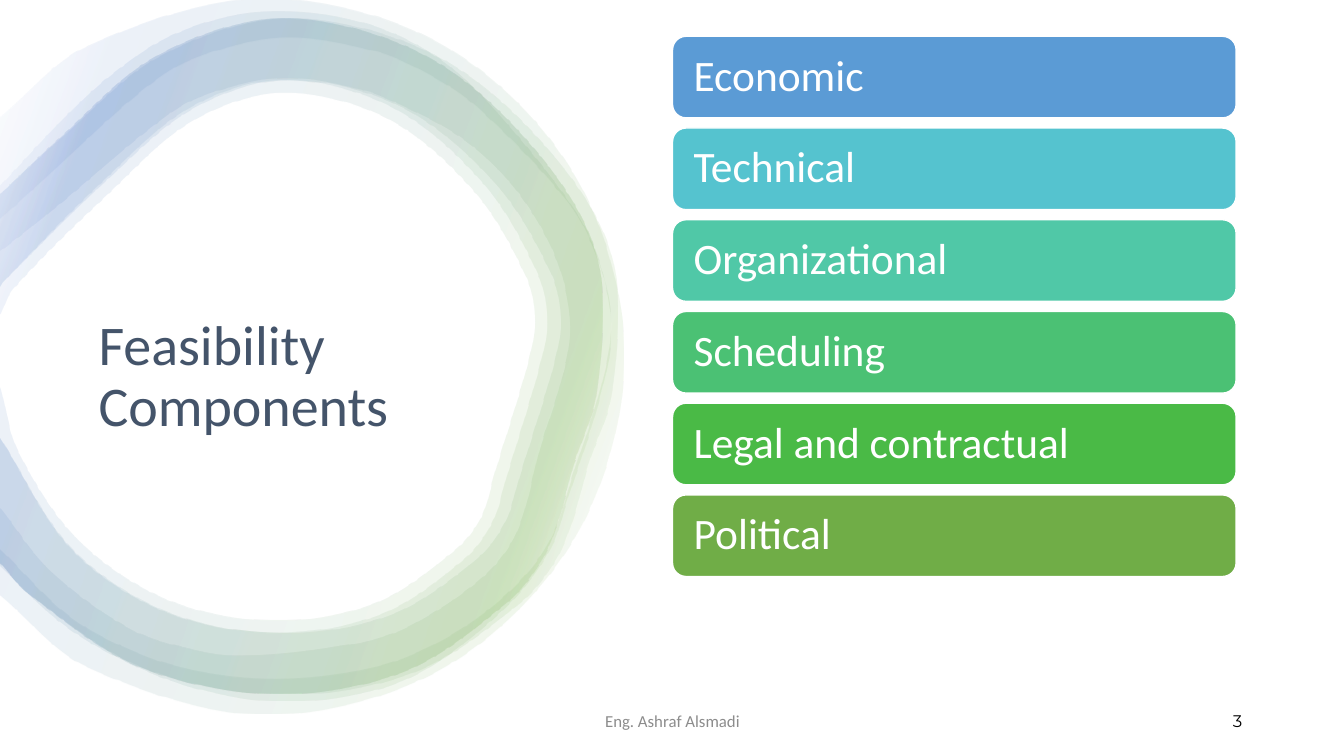
from dataclasses import dataclass
from math import dist

from lxml import etree
from pptx import Presentation
from pptx.dml.color import RGBColor
from pptx.enum import shapes, text
from pptx.oxml import ns
from pptx.util import Pt

PX = 9144

WHITE = RGBColor(0xFF, 0xFF, 0xFF)
BLACK = RGBColor(0x00, 0x00, 0x00)
SLATE = RGBColor(0x44, 0x54, 0x6A)
GRAY = RGBColor(0x8C, 0x8C, 0x8C)
GREEN = RGBColor(0x70, 0xAD, 0x47)
NAVY = RGBColor(0x44, 0x72, 0xC4)
BLUE = RGBColor(0x5B, 0x9B, 0xD5)
CYAN = RGBColor(0x55, 0xC3, 0xCF)
TEAL = RGBColor(0x50, 0xC8, 0xA7)
MINT = RGBColor(0x4B, 0xC1, 0x74)
LEAF = RGBColor(0x4A, 0xBA, 0x46)

RING_STOPS = ((2, WHITE), (16, GREEN), (85, NAVY), (100, WHITE))
RING_ANGLE = 200
RING_OPACITY = 10

Points = tuple[tuple[float, float], ...]


@dataclass(frozen=True)
class Ring:
    outer: Points
    inner: Points
    stretch: float = 1


@dataclass(frozen=True)
class Label:
    words: str
    left: int
    top: int
    width: int
    height: int
    size: int
    color: RGBColor
    font: str = "Calibri"
    align: text.PP_ALIGN = text.PP_ALIGN.LEFT
    spacing: float = 1


@dataclass(frozen=True)
class Card:
    words: str
    color: RGBColor


WAVY_OUTER = (
    (0, 184), (61, 119), (109, 75), (166, 37), (234, 15), (305, 13), (373, 27), (434, 58),
    (484, 103), (565, 203), (594, 262), (605, 329), (593, 396), (561, 496), (545, 543),
    (505, 597), (428, 659), (366, 685), (275, 695), (186, 680), (111, 649), (56, 614), (0, 561),
)
WAVY_INNER = (
    (0, 503), (49, 565), (125, 621), (181, 641), (239, 649), (353, 637), (407, 619),
    (478, 571), (511, 527), (535, 441), (554, 381), (564, 329), (556, 274), (533, 222),
    (499, 175), (455, 136), (404, 108), (353, 88), (275, 78), (196, 97), (150, 126),
    (57, 204), (0, 249),
)
BAND_OUTER = (
    (0, 192), (56, 139), (155, 55), (279, 18), (418, 53), (525, 142), (591, 252),
    (592, 386), (568, 462), (554, 514), (537, 555), (503, 597), (400, 666), (271, 688),
    (137, 661), (27, 588), (0, 558),
)
WIDE_INNER = (
    (0, 383), (18, 448), (78, 536), (167, 595), (271, 615), (371, 598), (451, 545),
    (477, 512), (490, 469), (523, 360), (530, 319), (522, 276), (470, 190), (383, 117),
    (279, 92), (190, 120), (108, 191), (13, 286), (0, 312),
)
SLIM_INNER = (
    (0, 434), (70, 544), (162, 606), (271, 627), (377, 609), (460, 554), (488, 517),
    (502, 472), (534, 365), (542, 320), (533, 272), (479, 182), (388, 106), (279, 79),
    (187, 107), (99, 182), (3, 279), (0, 284),
)
HALO_OUTER = (
    (0, 116), (86, 46), (263, -1), (440, 46), (570, 176), (618, 353), (570, 531),
    (440, 661), (263, 708), (86, 661), (0, 590),
)
HALO_INNER = (
    (0, 544), (65, 608), (120, 640), (187, 663), (273, 672), (366, 662), (424, 641),
    (478, 608), (524, 565), (549, 525), (564, 479), (594, 385), (605, 322), (592, 259),
    (563, 202), (475, 109), (424, 74), (367, 50), (277, 38), (190, 59), (138, 92),
    (42, 179), (0, 217),
)
RINGS = (
    Ring(WAVY_OUTER, WAVY_INNER),
    Ring(BAND_OUTER, SLIM_INNER, 1.025),
    Ring(BAND_OUTER, WIDE_INNER),
    Ring(BAND_OUTER, SLIM_INNER),
    Ring(HALO_OUTER, HALO_INNER),
)

LABELS = (
    Label("Feasibility Components", 88, 221, 400, 308, 40, SLATE, spacing=0.9),
    Label("3", 942, 695, 300, 40, 12, BLACK, "Montserrat", text.PP_ALIGN.RIGHT),
    Label("Eng. Ashraf Alsmadi", 442, 695, 450, 40, 12, GRAY, align=text.PP_ALIGN.CENTER),
)

CARDS = (
    Card("Economic", BLUE),
    Card("Technical", CYAN),
    Card("Organizational", TEAL),
    Card("Scheduling", MINT),
    Card("Legal and contractual", LEAF),
    Card("Political", GREEN),
)
CARD_LEFT, CARD_TOP, CARD_WIDTH, CARD_HEIGHT, CARD_PITCH = 667, 36, 559, 81, 91


def bezier_segments(knots: Points) -> list[Points]:
    slopes = []
    for index, here in enumerate(knots):
        before, after = knots[max(index - 1, 0)], knots[min(index + 1, len(knots) - 1)]
        length = dist(before, here) + dist(here, after)
        slopes.append([(b - a) / length for a, b in zip(before, after)])
    segments = []
    for index, (start, end) in enumerate(zip(knots, knots[1:])):
        reach = dist(start, end) / 3
        leave = tuple(a + m * reach for a, m in zip(start, slopes[index]))
        arrive = tuple(b - m * reach for b, m in zip(end, slopes[index + 1]))
        segments.append((leave, arrive, end))
    return segments


def round_outline(shape, ring: Ring) -> None:
    lines = list(shape._element.iter(ns.qn("a:lnTo")))
    bridge = len(ring.outer) - 1
    curved_lines = lines[:bridge] + lines[bridge + 1:]
    segments = bezier_segments(ring.outer) + bezier_segments(ring.inner)
    for line, segment in zip(curved_lines, segments):
        curve = etree.Element(ns.qn("a:cubicBezTo"))
        for x, y in segment:
            etree.SubElement(curve, ns.qn("a:pt"), x=str(round(x * ring.stretch * PX) - shape.left),
                             y=str(round(y * PX) - shape.top))
        line.getparent().replace(line, curve)


def fill_ring(shape) -> None:
    shape.fill.gradient()
    gradient = shape._element.spPr.find(ns.qn("a:gradFill"))
    gradient.clear()
    gradient.set("rotWithShape", "1")
    stops = etree.SubElement(gradient, ns.qn("a:gsLst"))
    for position, color in RING_STOPS:
        stop = etree.SubElement(stops, ns.qn("a:gs"), pos=str(position * 1000))
        tint = etree.SubElement(stop, ns.qn("a:srgbClr"), val=str(color))
        etree.SubElement(tint, ns.qn("a:alpha"), val=str(RING_OPACITY * 1000))
    etree.SubElement(gradient, ns.qn("a:lin"), ang=str(RING_ANGLE * 60000), scaled="0")


def draw_ring(page, ring: Ring) -> None:
    outline = [(round(x * ring.stretch * PX), y * PX) for x, y in ring.outer + ring.inner]
    builder = page.shapes.build_freeform(*outline[0])
    builder.add_line_segments(outline[1:], close=True)
    shape = builder.convert_to_shape()
    shape.shadow.inherit = False
    shape.line.fill.background()
    round_outline(shape, ring)
    fill_ring(shape)


def write_words(shape, label: Label, margin: int) -> None:
    frame = shape.text_frame
    frame_format = {
        "word_wrap": True,
        "vertical_anchor": text.MSO_ANCHOR.MIDDLE,
        "margin_left": margin * PX,
        "margin_right": margin * PX,
    }
    for name, value in frame_format.items():
        setattr(frame, name, value)
    para = frame.paragraphs[0]
    para.alignment = label.align
    para.line_spacing = label.spacing
    span = para.add_run()
    span.text = label.words
    for name, value in {"name": label.font, "size": Pt(label.size)}.items():
        setattr(span.font, name, value)
    span.font.color.rgb = label.color


def place(label: Label) -> list[int]:
    return [side * PX for side in (label.left, label.top, label.width, label.height)]


def draw_card(page, card: Card, row: int) -> None:
    label = Label(card.words, CARD_LEFT, CARD_TOP + row * CARD_PITCH, CARD_WIDTH,
                  CARD_HEIGHT, 31, WHITE, spacing=0.9)
    box = page.shapes.add_shape(shapes.MSO_SHAPE.ROUNDED_RECTANGLE, *place(label))
    box.shadow.inherit = False
    box.fill.solid()
    box.fill.fore_color.rgb = card.color
    box.line.color.rgb = WHITE
    box.line.width = Pt(1)
    write_words(box, label, 17)


def main() -> None:
    deck = Presentation()
    deck.slide_width, deck.slide_height = 1333 * PX, 750 * PX
    page = deck.slides.add_slide(deck.slide_layouts[6])
    for ring in RINGS:
        draw_ring(page, ring)
    for row, card in enumerate(CARDS):
        draw_card(page, card, row)
    for label in LABELS:
        write_words(page.shapes.add_textbox(*place(label)), label, 10)
    deck.save("out.pptx")


if __name__ == "__main__":
    main()
